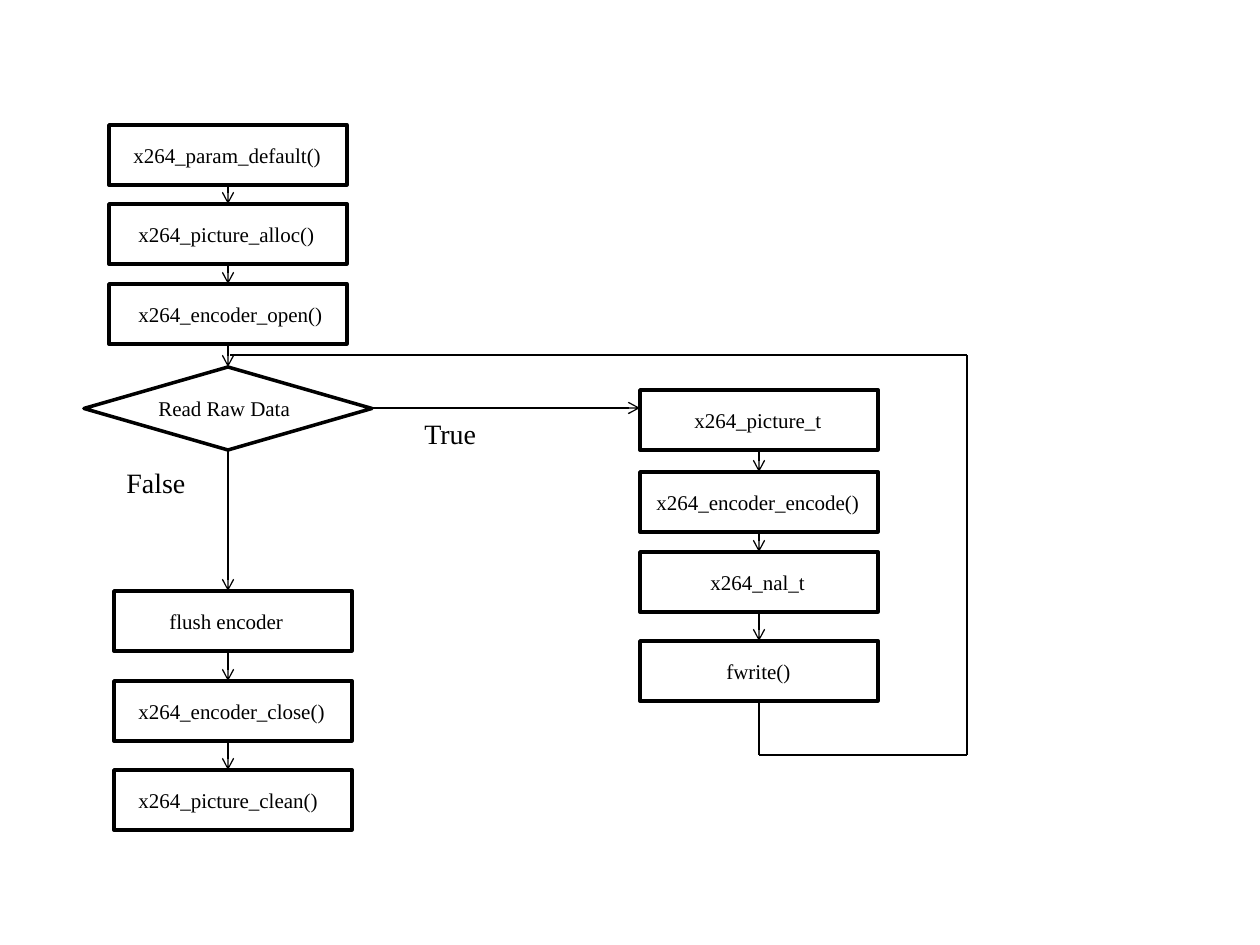
from itertools import pairwise

from lxml.etree import SubElement
from pptx import Presentation
from pptx.dml.color import RGBColor
from pptx.enum.shapes import MSO_CONNECTOR as CONN, MSO_SHAPE as SHAPE
from pptx.enum.text import MSO_AUTO_SIZE as AUTO
from pptx.oxml.ns import qn
from pptx.util import Inches, Pt

SCALE = Inches(1) / 126
BLACK = "000000"
FONT = "Times New Roman"
BOX_W, BOX_H = 238, 60
TEXT_DY, TEXT_H = 11, 38
LEFT_X, RIGHT_X = 228, 759
DIAMOND = (84, 367, 288, 83)

SETUP = [
    (109, 125, "x264_param_default()", 121, 215),
    (109, 204, "x264_picture_alloc()", 126, 204),
    (109, 284, "x264_encoder_open()", 126, 212),
]
CLEANUP = [
    (114, 591, "flush encoder", 157, 141),
    (114, 681, "x264_encoder_close()", 126, 214),
    (114, 770, "x264_picture_clean()", 126, 208),
]
ENCODE = [
    (640, 390, "x264_picture_t", 682, 154),
    (640, 472, "x264_encoder_encode()", 644, 231),
    (640, 552, "x264_nal_t", 698, 121),
    (640, 641, "fwrite()", 714, 91),
]


def px(*values):
    return [round(v * SCALE) for v in values]


def colour(value):
    return RGBColor.from_string(value)


def set_line(sp, width):
    sp.line.color.rgb = colour(BLACK)
    sp.line.width = Pt(width)


def add_outline(slide, kind, box):
    sp = slide.shapes.add_shape(kind, *px(*box))
    sp.shadow.inherit = False
    sp.fill.background()
    set_line(sp, 2)


def add_text(slide, text, box, size=12, wrap=False):
    tf = slide.shapes.add_textbox(*px(*box)).text_frame
    for name, value in {"word_wrap": wrap, "auto_size": AUTO.SHAPE_TO_FIT_TEXT}.items():
        setattr(tf, name, value)
    r = tf.paragraphs[0].add_run()
    r.text = text
    for name, value in {"size": Pt(size), "name": FONT}.items():
        setattr(r.font, name, value)
    r.font.color.rgb = colour(BLACK)


def add_line(slide, start, end, arrow=True):
    sp = slide.shapes.add_connector(CONN.STRAIGHT, *px(*start, *end))
    set_line(sp, 0.75)
    if arrow:
        SubElement(sp.line._get_or_add_ln(), qn("a:tailEnd"), type="arrow")
    SubElement(sp._element.spPr, qn("a:effectLst"))


def add_steps(slide, steps, x):
    for left, top, text, text_left, text_w in steps:
        add_outline(slide, SHAPE.RECTANGLE, (left, top, BOX_W, BOX_H))
        add_text(slide, text, (text_left, top + TEXT_DY, text_w, TEXT_H))
    for upper, lower in pairwise(steps):
        add_line(slide, (x, upper[1] + BOX_H), (x, lower[1]))


def add_decision(slide):
    left, top, width, height = DIAMOND
    add_outline(slide, SHAPE.FLOWCHART_DECISION, DIAMOND)
    add_text(slide, "Read Raw Data", (146, 389, 165, TEXT_H))
    add_line(slide, (LEFT_X, SETUP[-1][1] + BOX_H), (LEFT_X, top))
    add_line(slide, (LEFT_X, top + height), (LEFT_X, CLEANUP[0][1]))
    add_line(slide, (left + width, 408), (ENCODE[0][0], 408))
    add_text(slide, "True", (412, 410, 84, 47), 16, True)
    add_text(slide, "False", (114, 459, 95, 47), 16, True)


def add_loop(slide):
    bottom = ENCODE[-1][1] + BOX_H
    route = [(RIGHT_X, bottom), (RIGHT_X, 755), (967, 755), (967, 355), (230, 355)]
    for start, end in pairwise(route):
        add_line(slide, start, end, arrow=False)


def main():
    prs = Presentation()
    prs.slide_width, prs.slide_height = Inches(10), Inches(7.5)
    slide = prs.slides.add_slide(prs.slide_layouts[6])
    for steps, x in ((SETUP, LEFT_X), (CLEANUP, LEFT_X), (ENCODE, RIGHT_X)):
        add_steps(slide, steps, x)
    add_decision(slide)
    add_loop(slide)
    prs.save("out.pptx")


if __name__ == "__main__":
    main()
